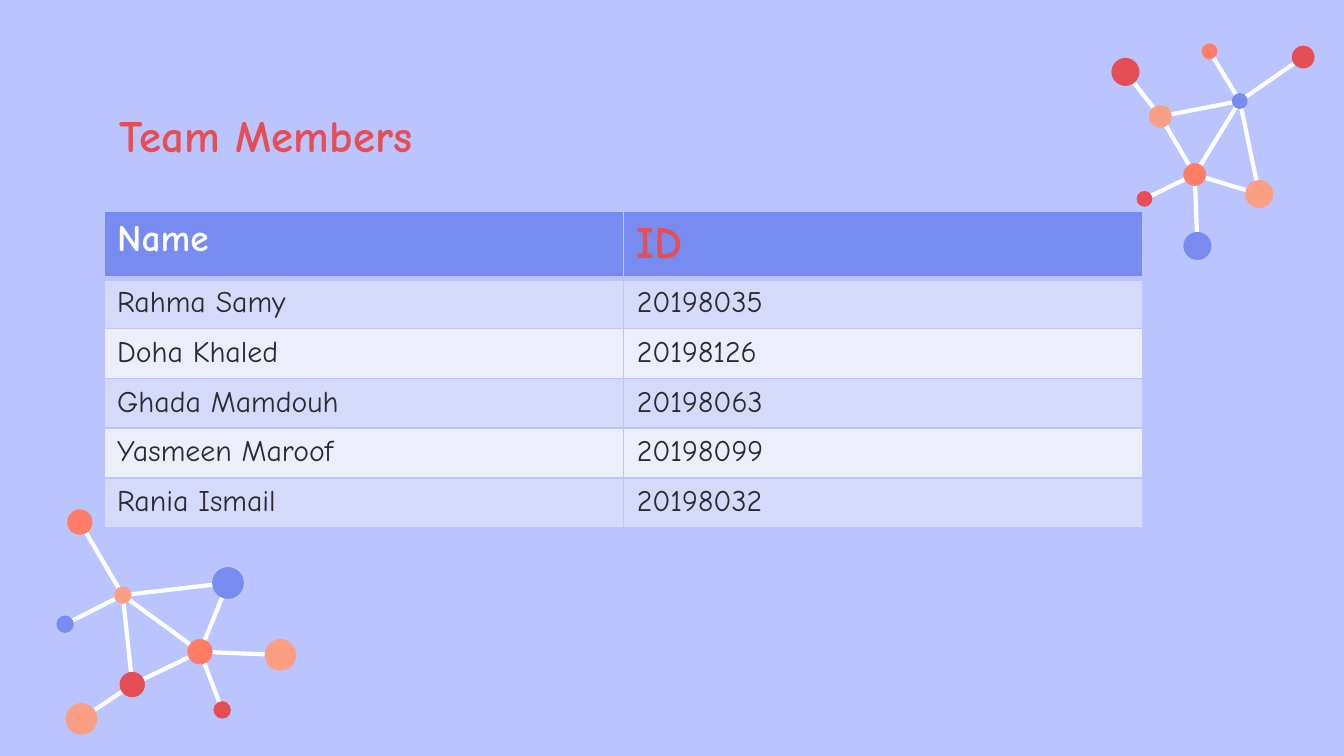
from dataclasses import dataclass

from lxml.etree import SubElement
from pptx import Presentation
from pptx.dml.color import RGBColor as Rgb
from pptx.enum.shapes import MSO_CONNECTOR as Connector, MSO_SHAPE as Shape
from pptx.enum.text import MSO_ANCHOR as Anchor
from pptx.oxml.ns import qn
from pptx.util import Cm, Pt


@dataclass(frozen=True)
class Theme:
    font: str = "Comic Neue"
    page: str = "BAC5FF"
    white: str = "FFFFFF"
    ink: str = "2B292E"
    red: str = "E54E55"
    coral: str = "FF7C67"
    peach: str = "FA9E84"
    blue: str = "788BF1"
    bands: tuple = ("D6DAFA", "ECEEFC")
    title_size: int = 24
    header_size: int = 20
    body_size: int = 16
    link_width: float = 2.25
    border: int = 1
    header_border: int = 3


THEME = Theme()

MEMBERS = [
    ("Rahma Samy", "20198035"),
    ("Doha Khaled", "20198126"),
    ("Ghada Mamdouh", "20198063"),
    ("Yasmeen Maroof", "20198099"),
    ("Rania Ismail", "20198032"),
]

# Nodes: name -> (centre x, centre y, diameter, colour), in cm from the box corner
TOP_NODES = {
    "left": (0.93, 1.4, 0.43, THEME.peach),
    "far right": (3.63, 0.28, 0.43, THEME.red),
    "hub": (1.58, 2.5, 0.43, THEME.coral),
    "right": (2.8, 2.87, 0.53, THEME.peach),
    "bottom": (1.63, 3.85, 0.53, THEME.blue),
    "far left": (0.27, 0.56, 0.53, THEME.red),
    "low left": (0.63, 2.96, 0.3, THEME.red),
    "top": (1.86, 0.17, 0.3, THEME.coral),
    "crossing": (2.43, 1.11, 0.3, THEME.blue),
}
TOP_LINKS = [
    ("hub", ("left", "right", "bottom", "low left", "crossing")),
    ("crossing", ("left", "right", "far right", "top")),
    ("left", ("far left",)),
]
BOTTOM_NODES = {
    "low": (1.45, 3.34, 0.48, THEME.red),
    "top": (0.46, 0.27, 0.48, THEME.coral),
    "hub": (2.73, 2.72, 0.48, THEME.coral),
    "high right": (3.26, 1.42, 0.6, THEME.blue),
    "far right": (4.25, 2.78, 0.6, THEME.peach),
    "far low": (0.49, 3.99, 0.6, THEME.peach),
    "bottom": (3.15, 3.82, 0.33, THEME.red),
    "far left": (0.18, 2.2, 0.33, THEME.blue),
    "crossing": (1.27, 1.65, 0.33, THEME.peach),
}
BOTTOM_LINKS = [
    ("hub", ("high right", "bottom", "low", "far right", "crossing")),
    ("crossing", ("low", "high right", "top", "far left")),
    ("low", ("far low",)),
]


def write_text(frame, text, size, color, bold):
    span = frame.paragraphs[0].add_run()
    span.text = text
    values = {"name": THEME.font, "size": Pt(size), "bold": bold}
    for key, value in values.items():
        setattr(span.font, key, value)
    span.font.color.rgb = Rgb.from_string(color)


def add_title(page, box, text):
    left, top, width, height = map(Cm, box)
    frame = page.shapes.add_textbox(left, top, width, height).text_frame
    values = {"word_wrap": True, "vertical_anchor": Anchor.MIDDLE}
    sides = ("left", "top", "right", "bottom")
    values.update({f"margin_{side}": Cm(0.25) for side in sides})
    for key, value in values.items():
        setattr(frame, key, value)
    write_text(frame, text, THEME.title_size, THEME.red, True)


def add_network(page, corner, nodes, links):
    left, top = corner
    # Links lie behind the nodes and run from centre to centre
    for start, ends in links:
        for end in ends:
            points = [Cm(offset + place)
                      for name in (start, end)
                      for offset, place in zip(corner, nodes[name][:2])]
            link = page.shapes.add_connector(Connector.STRAIGHT, *points)
            link.line.width = Pt(THEME.link_width)
            link.line.color.rgb = Rgb.from_string(THEME.white)
            SubElement(link._element.spPr, qn("a:effectLst"))
    # Nodes
    for x, y, size, color in nodes.values():
        node = page.shapes.add_shape(
            Shape.OVAL, Cm(left + x - size / 2), Cm(top + y - size / 2),
            Cm(size), Cm(size))
        node.shadow.inherit = False
        node.fill.solid()
        node.fill.fore_color.rgb = Rgb.from_string(color)
        node.line.fill.background()


def style_cell(cell, fill, widths):
    # Borders go in ahead of the fill, as the file format asks
    properties = cell._tc.get_or_add_tcPr()
    for side, width in zip("LRTB", widths):
        line = SubElement(properties, qn(f"a:ln{side}"), w=str(Pt(width)))
        paint = SubElement(line, qn("a:solidFill"))
        SubElement(paint, qn("a:srgbClr"), val=THEME.page)
    cell.fill.solid()
    cell.fill.fore_color.rgb = Rgb.from_string(fill)


def add_member_table(page, box, members):
    left, top, width, height = map(Cm, box)
    table = page.shapes.add_table(
        len(members) + 1, 2, left, top, width, height).table
    thin, thick = THEME.border, THEME.header_border
    # Header row
    headers = [("Name", THEME.header_size, THEME.white),
               ("ID", THEME.title_size, THEME.red)]
    for column, (text, size, color) in enumerate(headers):
        cell = table.cell(0, column)
        style_cell(cell, THEME.blue, (thin, thin, thin, thick))
        write_text(cell.text_frame, text, size, color, True)
    # Member rows
    for row, member in enumerate(members, start=1):
        upper = thick if row == 1 else thin
        for column, text in enumerate(member):
            cell = table.cell(row, column)
            style_cell(cell, THEME.bands[(row - 1) % 2],
                       (thin, thin, upper, thin))
            write_text(cell.text_frame, text, THEME.body_size, THEME.ink, False)


def main():
    deck = Presentation()
    deck.slide_width, deck.slide_height = Cm(25.4), Cm(14.29)
    page = deck.slides.add_slide(deck.slide_layouts[6])
    page.background.fill.solid()
    page.background.fill.fore_color.rgb = Rgb.from_string(THEME.page)

    add_network(page, (21, 0.8), TOP_NODES, TOP_LINKS)
    add_network(page, (1.05, 9.6), BOTTOM_NODES, BOTTOM_LINKS)
    add_title(page, (2.01, 1.27, 14.53, 2.54), "Team Members")
    add_member_table(page, (1.96, 4, 19.64, 5.65), MEMBERS)
    deck.save("out.pptx")


if __name__ == "__main__":
    main()
